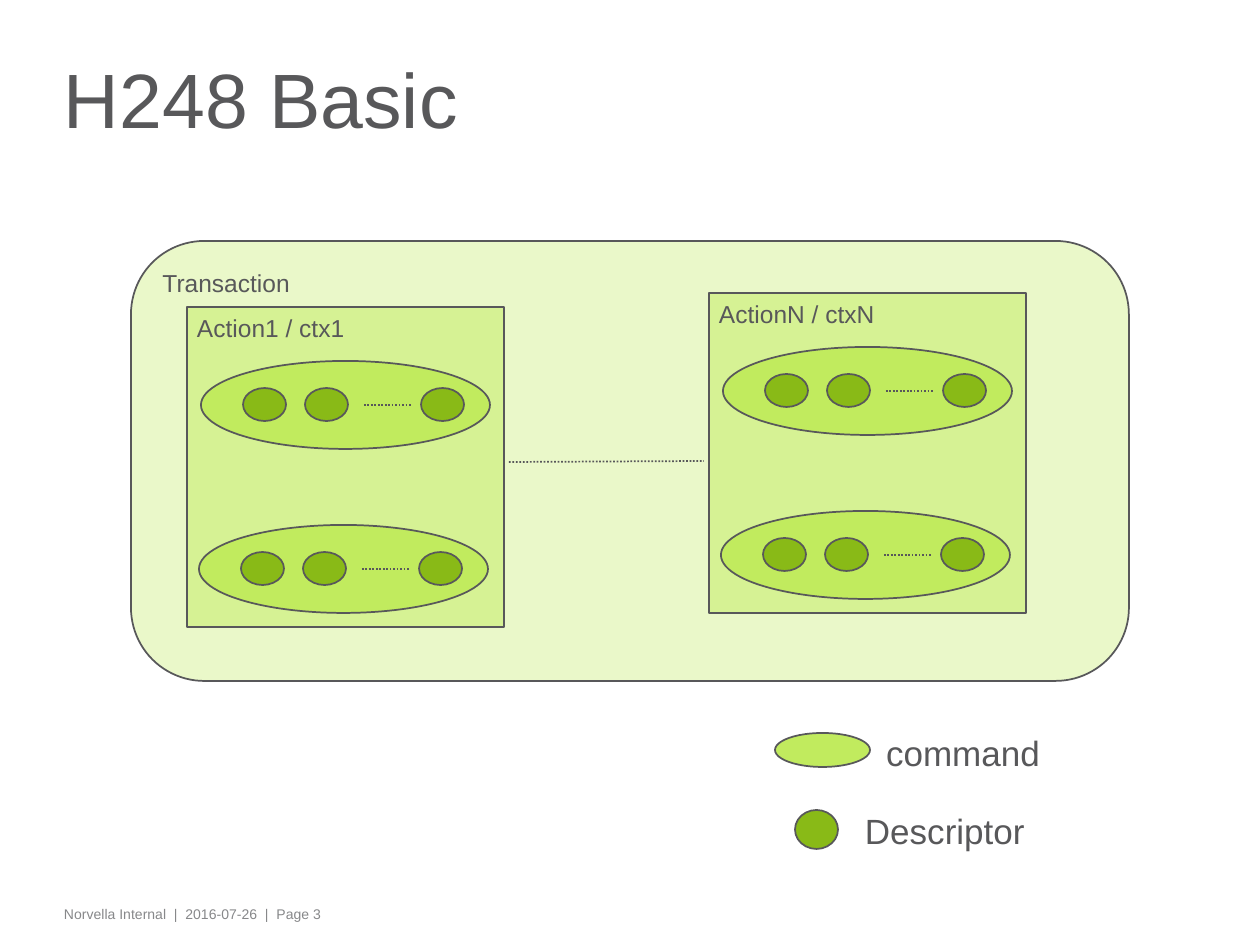
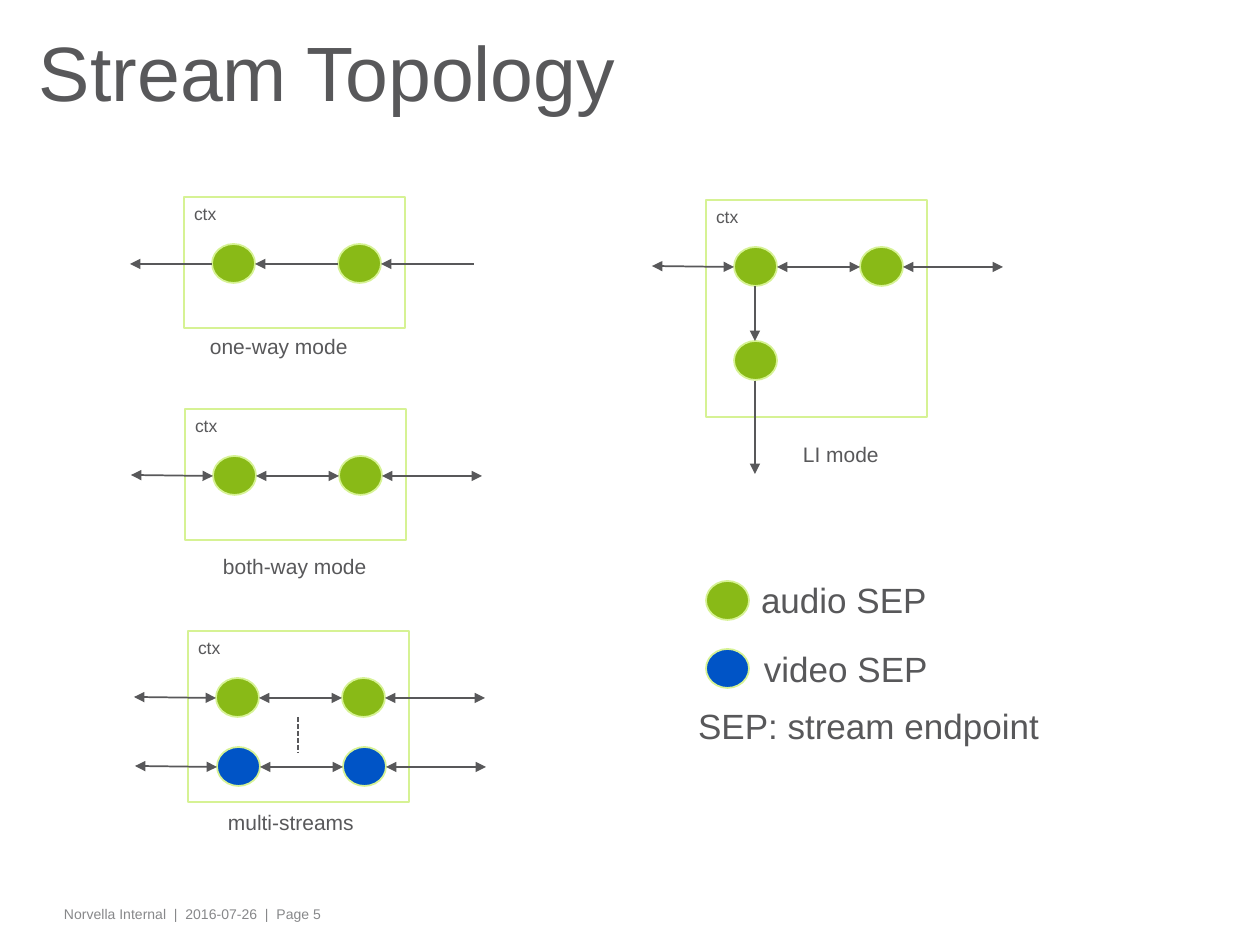
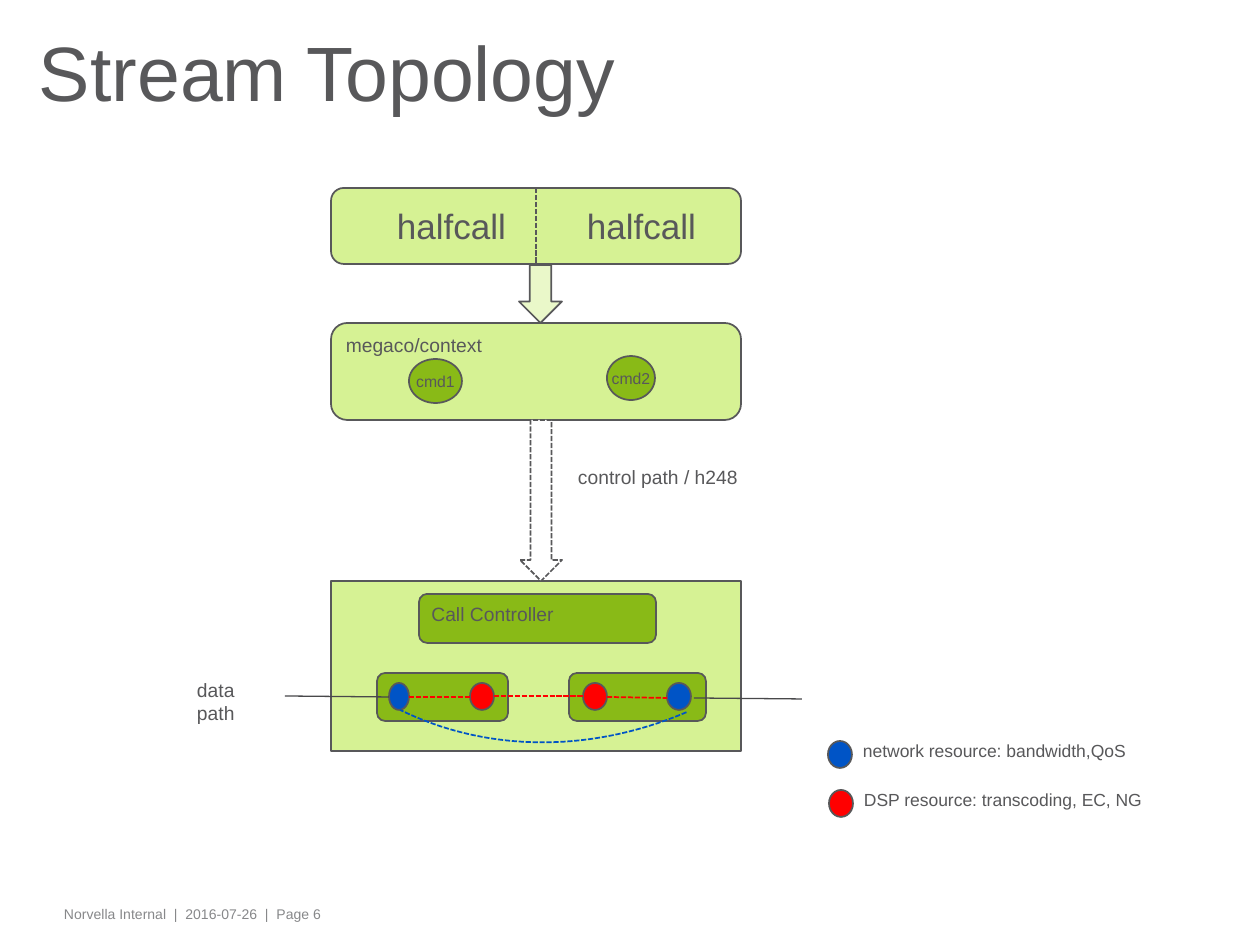
from lxml import etree
from pptx import Presentation
from pptx.dml.color import RGBColor
from pptx.enum.dml import MSO_LINE
from pptx.enum.shapes import MSO_CONNECTOR, MSO_SHAPE
from pptx.enum.text import MSO_ANCHOR, MSO_AUTO_SIZE, PP_ALIGN
from pptx.oxml.ns import qn
from pptx.util import Pt

PIXEL = 914400 / 126
FONT = "Arial"

GREY = RGBColor(0x58, 0x58, 0x5A)
DARK_GREY = RGBColor(0x48, 0x48, 0x4A)
FOOTER_GREY = RGBColor(0x87, 0x88, 0x8A)
WHITE = RGBColor(0xFF, 0xFF, 0xFF)
PALE_GREEN = RGBColor(0xEA, 0xF8, 0xC9)
LIGHT_GREEN = RGBColor(0xD6, 0xF2, 0x94)
LIME = RGBColor(0xC1, 0xEB, 0x5E)
GREEN = RGBColor(0x89, 0xBA, 0x17)
BLUE = RGBColor(0x00, 0x54, 0xC6)
RED = RGBColor(0xFF, 0x00, 0x00)

RECTANGLE = MSO_SHAPE.RECTANGLE
ROUNDED = MSO_SHAPE.ROUNDED_RECTANGLE
OVAL = MSO_SHAPE.OVAL
DOWN_ARROW = MSO_SHAPE.DOWN_ARROW
ARC = MSO_SHAPE.ARC
STRAIGHT = MSO_CONNECTOR.STRAIGHT
DOTTED = MSO_LINE.ROUND_DOT
DASHED = MSO_LINE.SQUARE_DOT
TOP = MSO_ANCHOR.TOP
MIDDLE = MSO_ANCHOR.MIDDLE
LEFT = PP_ALIGN.LEFT
CENTER = PP_ALIGN.CENTER
GROW = MSO_AUTO_SIZE.SHAPE_TO_FIT_TEXT

INSETS = {"margin_left": 10, "margin_right": 10, "margin_top": 6, "margin_bottom": 6}
LABEL_INSETS = {"margin_left": 13, "margin_right": 13, "margin_top": 6, "margin_bottom": 6}
TITLE_INSETS = {"margin_left": 10, "margin_right": 10, "margin_top": 0, "margin_bottom": 0}
SEP_WIDTH, SEP_HEIGHT = 43, 39
SEP_STEP = 126


def emu(*pixels):
    """Turn pixel lengths into EMU."""
    return [round(pixel * PIXEL) for pixel in pixels]


def set_values(target, values):
    """Set each named attribute of the target."""
    for name, value in values.items():
        setattr(target, name, value)


def write_text(shape, text, size, color=GREY, insets=INSETS, align=LEFT, wrap=False, anchor=TOP):
    """Write one formatted paragraph into the shape."""
    frame = shape.text_frame
    set_values(frame, {name: emu(value)[0] for name, value in insets.items()})
    set_values(frame, {"word_wrap": wrap, "vertical_anchor": anchor})
    paragraph = frame.paragraphs[0]
    paragraph.alignment = align
    run = paragraph.add_run()
    run.text = text
    set_values(run.font, {"name": FONT, "size": Pt(size)})
    run.font.color.rgb = color
    return paragraph


def add_label(slide, box, text, size, wrap=False):
    """Add a free-standing label that fits its text."""
    label = slide.shapes.add_textbox(*emu(*box))
    write_text(label, text, size, insets=LABEL_INSETS, wrap=wrap)
    label.text_frame.auto_size = GROW


def style_line(line, color, width=1, dash=None):
    """Set the colour, width and dash of a line."""
    line.color.rgb = color
    line.width = Pt(width)
    if dash:
        line.dash_style = dash


def add_shape(slide, kind, box, fill, line=GREY, dash=None):
    """Add a preset shape without a shadow."""
    shape = slide.shapes.add_shape(kind, *emu(*box))
    shape.shadow.inherit = False
    if fill is None:
        shape.fill.background()
    else:
        shape.fill.solid()
        shape.fill.fore_color.rgb = fill
    style_line(shape.line, line, dash=dash)
    return shape


def add_line(slide, start, end, color=GREY, width=1, dash=None, arrows=()):
    """Add a straight line with arrowheads at the named ends."""
    connector = slide.shapes.add_connector(STRAIGHT, *emu(*start, *end))
    style_line(connector.line, color, width, dash)
    properties = connector.element.spPr
    outline = properties.find(qn("a:ln"))
    for arrow in arrows:
        etree.SubElement(outline, qn(f"a:{arrow}")).set("type", "triangle")
    etree.SubElement(properties, qn("a:effectLst"))


def add_slide(presentation, title, left, top, page):
    """Add a blank slide with the shared title and footer."""
    slide = presentation.slides.add_slide(presentation.slide_layouts[6])
    footer = slide.shapes.add_textbox(*emu(54, 900, 1019, 30))
    text = f"Norvella Internal  |  2016-07-26  |  Page {page}"
    write_text(footer, text, 8, FOOTER_GREY, wrap=True)
    heading = slide.shapes.add_textbox(*emu(left, top, 1033, 150))
    paragraph = write_text(heading, title, 44, insets=TITLE_INSETS, wrap=True, anchor=MIDDLE)
    paragraph.line_spacing = 0.75
    return slide


def draw_command(slide, left, top):
    """Draw a command oval holding a row of descriptors."""
    add_shape(slide, OVAL, (left, top, 289, 88), LIME)
    for offset in (42, 104, 220):
        add_shape(slide, OVAL, (left + offset, top + 27, 43, 33), GREEN)
    add_line(slide, (left + 163, top + 44), (left + 211, top + 44), dash=DOTTED)


def draw_action(slide, left, top, text):
    """Draw an action box with its first and last command."""
    action = add_shape(slide, RECTANGLE, (left, top, 317, 320), LIGHT_GREEN)
    write_text(action, text, 14)
    draw_command(slide, left + 14, top + 54)
    draw_command(slide, left + 12, top + 218)


def draw_basic(presentation):
    """Build the slide on transactions, actions and commands."""
    slide = add_slide(presentation, "H248 Basic", 54, 33, 3)
    transaction = add_shape(slide, ROUNDED, (131, 241, 998, 440), PALE_GREEN)
    write_text(transaction, "Transaction", 14)
    add_line(slide, (509, 462), (704, 461), dash=DOTTED)
    draw_action(slide, 187, 307, "Action1 / ctx1")
    draw_action(slide, 709, 293, "ActionN / ctxN")
    add_shape(slide, OVAL, (775, 733, 95, 34), LIME)
    add_label(slide, (873, 725, 180, 55), "command", 20)
    add_shape(slide, OVAL, (795, 810, 43, 39), GREEN)
    add_label(slide, (852, 803, 251, 55), "Descriptor", 20, wrap=True)


def draw_sep(slide, left, top, fill):
    """Draw one stream endpoint."""
    add_shape(slide, OVAL, (left, top, SEP_WIDTH, SEP_HEIGHT), fill, LIGHT_GREEN)


def draw_stream(slide, left, top, fill=GREEN, both_ways=True):
    """Draw two endpoints joined to each other and to the outside."""
    for offset in (0, SEP_STEP):
        draw_sep(slide, left + offset, top, fill)
    middle = top + 20
    right = left + SEP_STEP
    outside = 100 if both_ways else 93
    rise = 1 if both_ways else 0
    arrows = ("headEnd", "tailEnd") if both_ways else ("tailEnd",)
    add_line(slide, (right + SEP_WIDTH + outside, middle), (right + SEP_WIDTH, middle), arrows=arrows)
    add_line(slide, (left, middle), (left - 82, middle - rise), arrows=arrows)
    add_line(slide, (right, middle), (left + SEP_WIDTH, middle), arrows=arrows)


def draw_context(slide, left, top, height, both_ways=True):
    """Draw a context box with its first audio stream."""
    context = add_shape(slide, RECTANGLE, (left, top, 221, height), None, LIGHT_GREEN)
    write_text(context, "ctx", 10)
    draw_stream(slide, left + 28, top + 47, both_ways=both_ways)


def draw_modes(presentation):
    """Build the slide on the stream modes."""
    slide = add_slide(presentation, "Stream Topology", 29, 6, 5)
    draw_context(slide, 184, 197, 131, both_ways=False)
    draw_context(slide, 185, 409, 131)
    draw_context(slide, 188, 631, 171)
    draw_stream(slide, 217, 747, BLUE)
    add_line(slide, (298, 717), (298, 753), dash=DASHED)
    draw_context(slide, 706, 200, 217)
    draw_sep(slide, 734, 341, GREEN)
    for start, end in ((286, 341), (381, 474)):
        add_line(slide, (755, start), (755, end), arrows=("tailEnd",))
    for box, text in (
        ((197, 328, 164, 38), "one-way mode"),
        ((210, 548, 170, 38), "both-way mode"),
        ((215, 804, 152, 38), "multi-streams"),
    ):
        add_label(slide, box, text, 12)
    add_label(slide, (790, 436, 112, 38), "LI mode", 12, wrap=True)
    draw_sep(slide, 706, 581, GREEN)
    draw_sep(slide, 706, 649, BLUE)
    add_label(slide, (748, 572, 197, 55), "audio SEP", 20)
    add_label(slide, (751, 641, 190, 55), "video SEP", 20)
    add_label(slide, (685, 698, 369, 55), "SEP: stream endpoint", 20)


def draw_halfcalls(slide, left, top):
    """Draw the band split into two half calls."""
    add_shape(slide, ROUNDED, (left, top, 410, 76), LIGHT_GREEN)
    for offset in (53, 243):
        add_label(slide, (left + offset, top + 10, 136, 55), "halfcall", 20)
    add_line(slide, (left + 205, top), (left + 205, top + 76), dash=DASHED)


def draw_megaco(slide, left, top):
    """Draw the megaco context and its two commands."""
    context = add_shape(slide, ROUNDED, (left, top, 410, 97), LIGHT_GREEN)
    write_text(context, "megaco/context", 11)
    for text, x, y, width in (("cmd1", 78, 36, 53), ("cmd2", 276, 33, 48)):
        command = add_shape(slide, OVAL, (left + x, top + y, width, 44), GREEN)
        write_text(command, text, 9, align=CENTER)


def draw_controller(slide, left, top):
    """Draw the call controller, its resources and the data path."""
    add_shape(slide, RECTANGLE, (left, top, 410, 170), LIGHT_GREEN)
    controller = add_shape(slide, ROUNDED, (left + 88, top + 13, 237, 49), GREEN)
    write_text(controller, "Call Controller", 11)
    for offset, width in ((46, 131), (238, 137)):
        add_shape(slide, ROUNDED, (left + offset, top + 92, width, 48), GREEN)
    for offset, width, fill in ((58, 20, BLUE), (139, 24, RED), (336, 24, BLUE), (252, 24, RED)):
        add_shape(slide, OVAL, (left + offset, top + 102, width, 27), fill)
    middle = top + 116
    for start, end, rise in ((78, 139, 0), (163, 252, 1), (276, 336, -1)):
        add_line(slide, (left + start, middle - max(rise, 0)), (left + end, middle - rise), RED, dash=DASHED)
    arc = add_shape(slide, ARC, (left - 172, top - 625, 859, 736), None, BLUE, DASHED)
    arc.rotation = 116
    arc.adjustments[0] = 191.91
    arc.adjustments[1] = 0
    for start, end in ((-46, 58), (363, 471)):
        drop = 2 if start > 0 else 0
        add_line(slide, (left + start, middle - 1 + drop), (left + end, middle + drop), DARK_GREY, 0.75)


def draw_paths(presentation):
    """Build the slide on the control path and the data path."""
    slide = add_slide(presentation, "Stream Topology", 29, 6, 6)
    draw_halfcalls(slide, 331, 188)
    draw_megaco(slide, 331, 323)
    draw_controller(slide, 331, 581)
    add_shape(slide, DOWN_ARROW, (519, 265, 43, 58), PALE_GREEN)
    add_shape(slide, DOWN_ARROW, (520, 420, 42, 161), WHITE, dash=DASHED)
    add_label(slide, (184, 672, 106, 36), "data path", 11)
    add_label(slide, (565, 459, 186, 36), "control path / h248", 11)
    for left, top, fill, width, text in (
        (828, 741, BLUE, 290, "network resource: bandwidth,QoS"),
        (829, 790, RED, 306, "DSP resource: transcoding, EC, NG"),
    ):
        add_shape(slide, OVAL, (left, top, 24, 27), fill)
        add_label(slide, (left + 22, top - 7, width, 34), text, 10)


def build():
    """Build and save the presentation."""
    presentation = Presentation()
    presentation.slide_width, presentation.slide_height = emu(1260, 945)
    draw_basic(presentation)
    draw_modes(presentation)
    draw_paths(presentation)
    presentation.save("out.pptx")


build()
